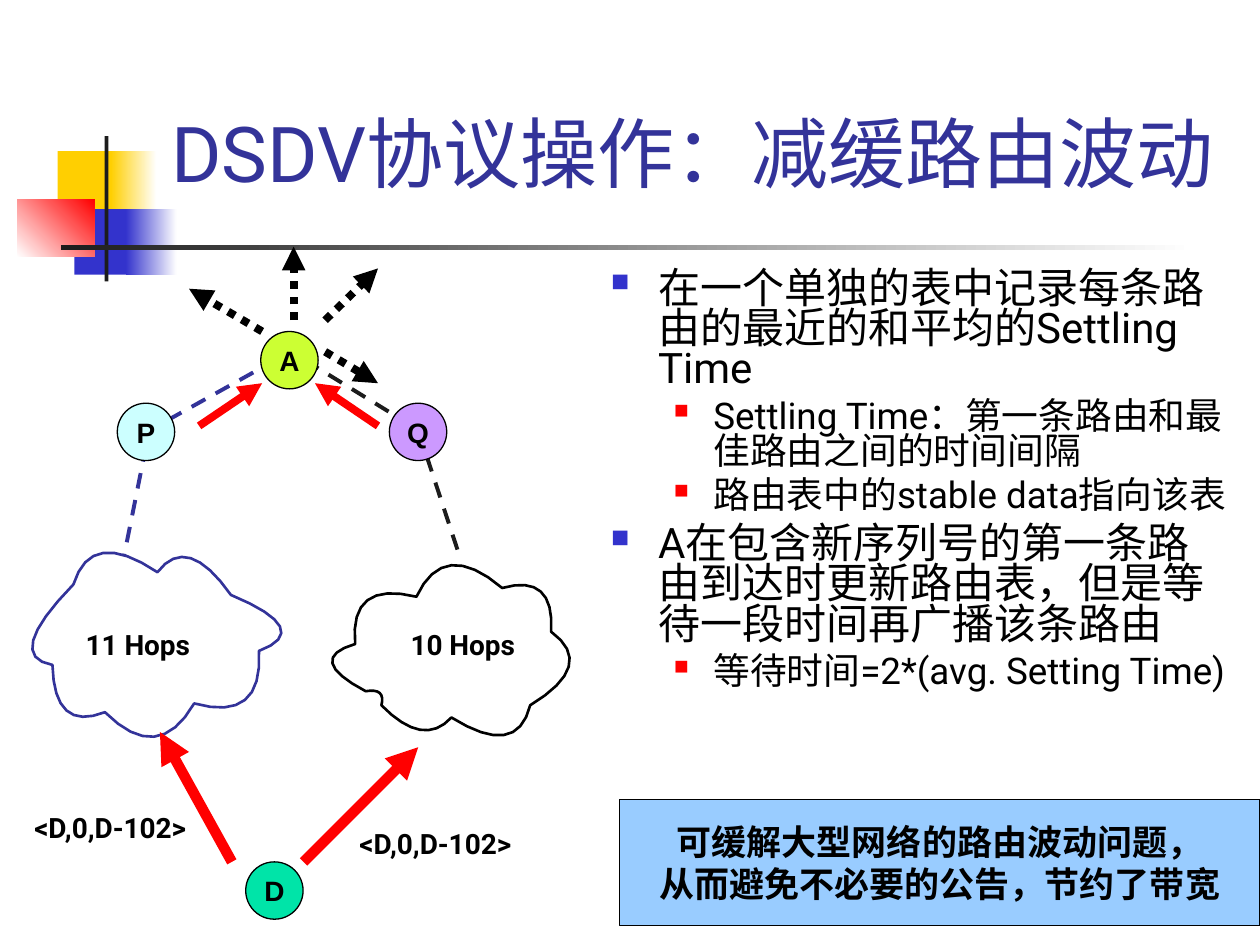
from lxml import etree
from pptx import Presentation
from pptx.dml.color import RGBColor
from pptx.enum.dml import MSO_LINE
from pptx.enum.shapes import MSO_CONNECTOR, MSO_SHAPE
from pptx.enum.text import MSO_ANCHOR, MSO_AUTO_SIZE, PP_ALIGN
from pptx.oxml.ns import qn
from pptx.util import Pt

COLORS = {
    "yellow": "FFCF01", "blue": "3333CC", "red": "FF0000", "white": "FFFFFF",
    "dark": "1C1C1C", "black": "000000", "navy": "333399", "lime": "CCFF33",
    "cyan": "CCFFFF", "violet": "CC99FF", "green": "00E4A8", "sky": "99CCFF",
}
RGB = {name: RGBColor.from_string(value) for name, value in COLORS.items()}

prs = Presentation()
prs.slide_width, prs.slide_height = Pt(720), Pt(540)
s = prs.slides.add_slide(prs.slide_layouts[5])


def add_run(p, text, size, color="black", font="Roboto", bold=False):
    r = p.add_run()
    r.text = text
    r.font.size = Pt(size)
    r.font.name = font
    r.font.bold = bold
    r.font.color.rgb = RGB[color]


def add_line(x1, y1, x2, y2, color, width, dash=None, arrow=False):
    line = s.shapes.add_connector(MSO_CONNECTOR.STRAIGHT, Pt(x1), Pt(y1), Pt(x2), Pt(y2))
    line.line.color.rgb = RGB[color]
    line.line.width = Pt(width)
    if dash:
        line.line.dash_style = dash
    if arrow:
        etree.SubElement(line.line._get_or_add_ln(), qn("a:tailEnd"), type="triangle")
    etree.SubElement(line._element.spPr, qn("a:effectLst"))


ornaments = [
    (33, 86.4, 34.6, 37.4, "yellow", None),
    (63.4, 86.4, 26, 37.4, "yellow", "white"),
    (42.5, 119.5, 33, 37.4, "blue", None),
    (72, 119.5, 29, 37.4, "blue", "white"),
    (10, 113.8, 44, 33, "white", "red"),
    (59.8, 77.8, 2.2, 83, "dark", None),
    (34.6, 140.2, 648, 2.4, "dark", "white"),
]
for x, y, w, h, start, end in ornaments:
    sp = s.shapes.add_shape(MSO_SHAPE.RECTANGLE, Pt(x), Pt(y), Pt(w), Pt(h))
    sp.shadow.inherit = False
    sp.line.fill.background()
    if end:
        sp.fill.gradient()
        sp.fill.gradient_angle = 45 if end == "red" else 0
        for stop, color in zip(sp.fill.gradient_stops, (start, end)):
            stop.color.rgb = RGB[color]
    else:
        sp.fill.solid()
        sp.fill.fore_color.rgb = RGB[start]

title = s.shapes.title
title.left, title.top, title.width, title.height = Pt(90.7), Pt(16.6), Pt(613.4), Pt(100)
tf = title.text_frame
tf.auto_size = MSO_AUTO_SIZE.NONE
tf.word_wrap = True
tf.vertical_anchor = MSO_ANCHOR.BOTTOM
p = tf.paragraphs[0]
p.alignment = PP_ALIGN.LEFT
add_run(p, "DSDV协议操作：减缓路由波动", 44, "navy")

levels = [
    {"size": 24, "margin": 27, "indent": -27, "before": 6, "bullet": "blue", "scale": 60},
    {"size": 21, "margin": 58.5, "indent": -22.5, "before": 5.2, "bullet": "red", "scale": 55},
]
points = [
    (0, "在一个单独的表中记录每条路由的最近的和平均的Settling Time"),
    (1, "Settling Time：第一条路由和最佳路由之间的时间间隔"),
    (1, "路由表中的stable data指向该表"),
    (0, "A在包含新序列号的第一条路由到达时更新路由表，但是等待一段时间再广播该条路由"),
    (1, "等待时间=2*(avg. Setting Time)"),
]
body = s.shapes.add_textbox(Pt(342), Pt(151.2), Pt(365.8), Pt(301))
tf = body.text_frame
tf.word_wrap = True
for i, (level, text) in enumerate(points):
    style = levels[level]
    p = tf.add_paragraph() if i else tf.paragraphs[0]
    p.level = level
    p.line_spacing = 0.8
    if i:
        p.space_before = Pt(style["before"])
    pPr = p._p.get_or_add_pPr()
    pPr.set("marL", str(Pt(style["margin"])))
    pPr.set("indent", str(Pt(style["indent"])))
    bullet_color = etree.SubElement(pPr, qn("a:buClr"))
    etree.SubElement(bullet_color, qn("a:srgbClr"), val=COLORS[style["bullet"]])
    etree.SubElement(pPr, qn("a:buSzPct"), val=str(style["scale"] * 1000))
    etree.SubElement(pPr, qn("a:buChar"), char="■")
    add_run(p, text, style["size"])

links = [
    (83.5, 255, 67, 337, "navy"),
    (235.4, 243.4, 162.7, 198.7, "dark"),
    (158.4, 205.2, 83.5, 247, "navy"),
    (239, 246, 263.5, 320.4, "dark"),
]
for x1, y1, x2, y2, color in links:
    add_line(x1, y1, x2, y2, color, 2.25, MSO_LINE.DASH)

clouds = [
    ("navy",
     [(42, 334), (90, 327), (132, 340), (148, 372), (111, 402), (60, 407), (30, 380)],
     [(59, 316), (109, 319), (160, 358), (140, 400), (88, 421), (38, 406), (19, 366)]),
    ("black",
     [(203, 368), (238, 341), (287, 336), (315, 361), (303, 403), (258, 410), (218, 403), (209, 395)],
     [(210, 343), (258, 323), (309, 338), (325, 381), (288, 420), (240, 417), (217, 396), (190, 379)]),
]
STEPS = 8
for color, valleys, peaks in clouds:
    outline = []
    for i, (px, py) in enumerate(peaks):
        ax, ay = valleys[i]
        bx, by = valleys[(i + 1) % len(valleys)]
        for step in range(STEPS):
            t = step / STEPS
            a, m, b = (1 - t) * (1 - 2 * t), 4 * t * (1 - t), t * (2 * t - 1)
            outline.append((Pt(a * ax + m * px + b * bx), Pt(a * ay + m * py + b * by)))
    builder = s.shapes.build_freeform(*outline[0])
    builder.add_line_segments(outline[1:], close=True)
    cloud = builder.convert_to_shape()
    cloud.shadow.inherit = False
    cloud.fill.solid()
    cloud.fill.fore_color.rgb = RGB["white"]
    cloud.line.color.rgb = RGB[color]
    cloud.line.width = Pt(1.5)

labels = [
    (227.5, 355, "10 Hops", PP_ALIGN.LEFT),
    (41.8, 355, "11 Hops", PP_ALIGN.LEFT),
    (185.8, 468.7, "<D,0,D-102>", PP_ALIGN.CENTER),
    (0, 459.4, "<D,0,D-102>", PP_ALIGN.CENTER),
]
for x, y, text, align in labels:
    tf = s.shapes.add_textbox(Pt(x), Pt(y), Pt(126 if align == PP_ALIGN.CENTER else 114.5), Pt(26.6)).text_frame
    tf.word_wrap = True
    tf.auto_size = MSO_AUTO_SIZE.SHAPE_TO_FIT_TEXT
    p = tf.paragraphs[0]
    p.alignment = align
    add_run(p, text, 16, bold=True)

add_line(173.5, 492.5, 239, 427, "red", 6, arrow=True)
add_line(132.5, 492.5, 91.4, 418.3, "red", 6, arrow=True)

NODE = 32.8
boxes = [
    (MSO_SHAPE.OVAL, 149, 189.4, NODE, NODE, "lime", 16, ["A"]),
    (MSO_SHAPE.OVAL, 67, 230.4, NODE, NODE, "cyan", 16, ["P"]),
    (MSO_SHAPE.OVAL, 222.5, 230.4, NODE, NODE, "violet", 16, ["Q"]),
    (MSO_SHAPE.OVAL, 140.4, 492.5, NODE, NODE, "green", 16, ["D"]),
    (MSO_SHAPE.RECTANGLE, 354, 457, 366, 72, "sky", 20,
     ["可缓解大型网络的路由波动问题，", "从而避免不必要的公告，节约了带宽"]),
]
for shape, x, y, w, h, fill, size, lines in boxes:
    sp = s.shapes.add_shape(shape, Pt(x), Pt(y), Pt(w), Pt(h))
    sp.shadow.inherit = False
    sp.fill.solid()
    sp.fill.fore_color.rgb = RGB[fill]
    sp.line.color.rgb = RGB["black"]
    sp.line.width = Pt(0.75)
    tf = sp.text_frame
    tf.word_wrap = False
    tf.vertical_anchor = MSO_ANCHOR.MIDDLE
    for i, text in enumerate(lines):
        p = tf.add_paragraph() if i else tf.paragraphs[0]
        p.alignment = PP_ALIGN.CENTER
        add_run(p, text, size, font="Arial", bold=True)

for ends in [(113.8, 243.4, 149.8, 219), (216, 243.4, 180, 219)]:
    add_line(*ends, "red", 4.5, arrow=True)
for ends in [(185.8, 201, 216, 219), (149.8, 189.4, 108, 165),
             (185.8, 183, 216, 153.4), (167.8, 183, 167.8, 141)]:
    add_line(*ends, "black", 4.5, MSO_LINE.ROUND_DOT, True)

prs.save("out.pptx")
